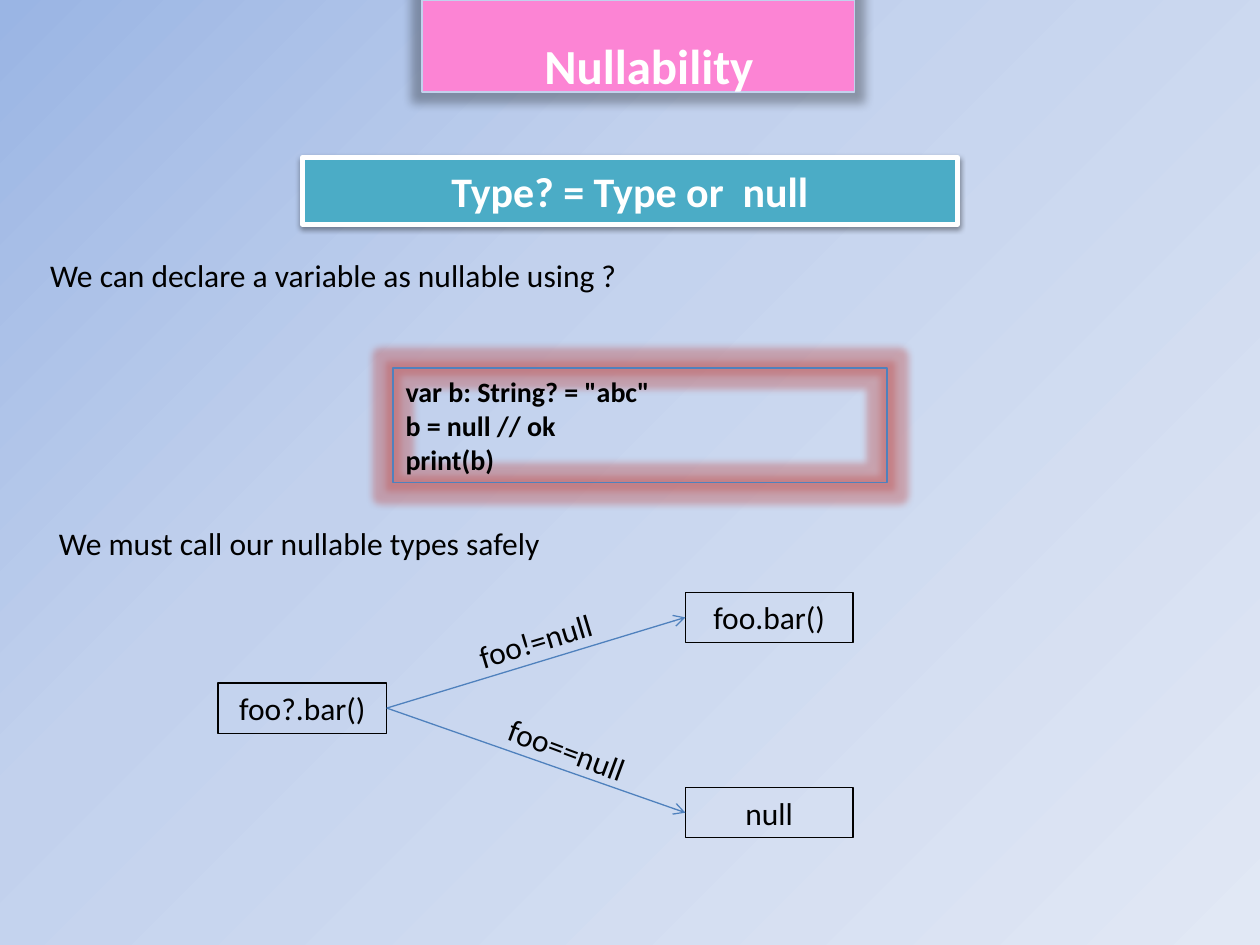
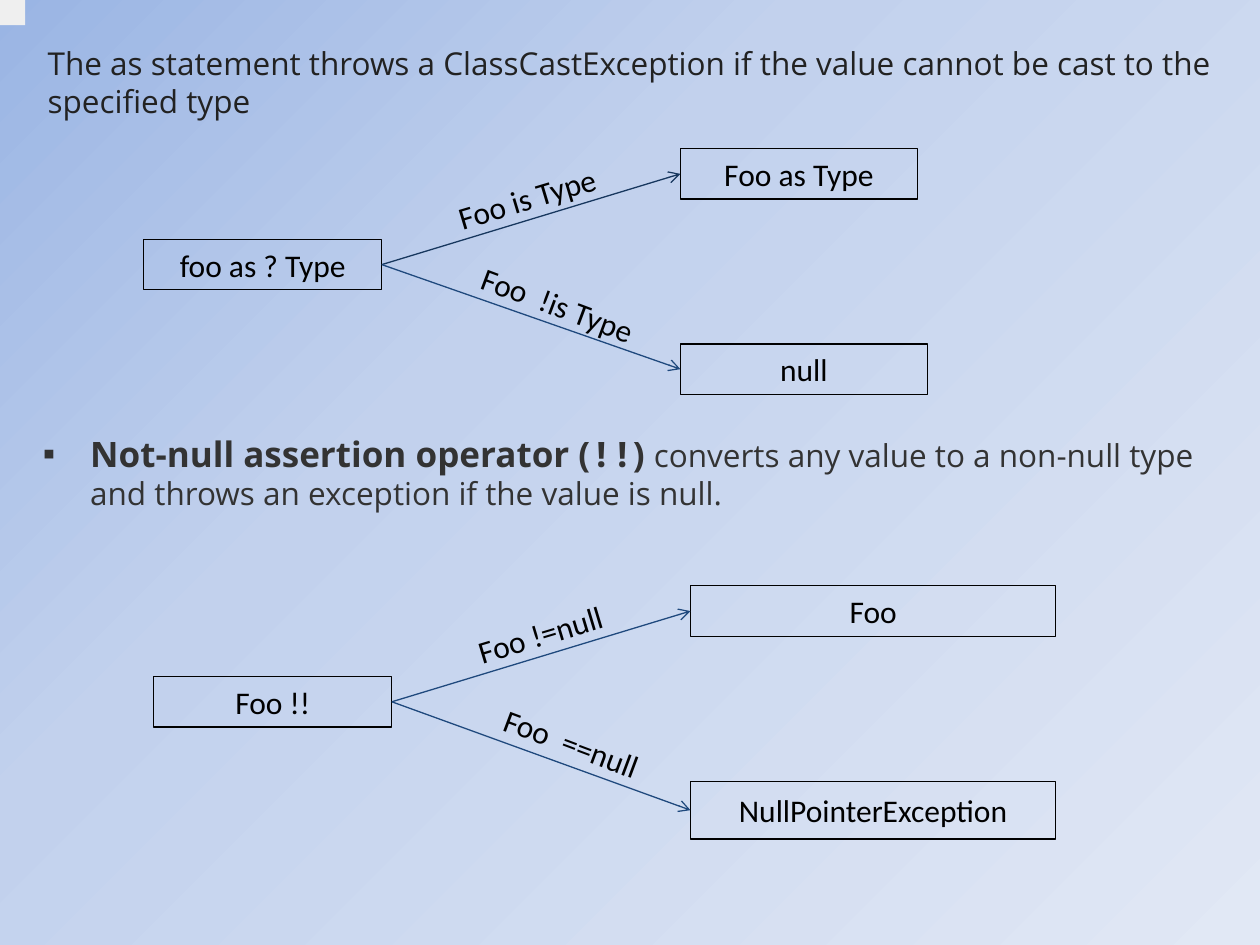
from copy import deepcopy
from dataclasses import dataclass

from lxml.etree import SubElement
from pptx import Presentation
from pptx.dml.color import RGBColor
from pptx.enum.shapes import MSO_CONNECTOR as Connector, MSO_SHAPE as Preset
from pptx.enum.text import MSO_ANCHOR as Anchor, MSO_AUTO_SIZE as AutoSize, PP_ALIGN as Align
from pptx.oxml.ns import qn
from pptx.util import Inches, Pt


@dataclass(frozen=True)
class Theme:
    """Colours, fonts and type sizes of the deck."""
    gradient: tuple = ((0, "9AB5E4"), (0.37, "C2D1ED"), (1, "E1E8F5"))
    pink: str = "FC84D4"
    pale_blue: str = "C2D1ED"
    teal: str = "4BACC6"
    blue: str = "4F81BD"
    navy: str = "1F497D"
    dark_navy: str = "17375E"
    red: str = "C0504D"
    grey: str = "EFEFEF"
    charcoal: str = "333333"
    ink: str = "222222"
    black: str = "000000"
    white: str = "FFFFFF"
    sans: str = "Calibri"
    prose: str = "Open Sans"
    mono: str = "Noto Sans Mono"
    title: int = 28
    banner: int = 24
    lead: int = 20
    text: int = 18
    code: int = 16
    thin: float = 0.75
    thick: float = 3


@dataclass(frozen=True)
class Branch:
    """One outcome of a decision with its condition."""
    condition: str
    condition_width: float
    outcome: str
    width: float
    arrow: str
    height: float = 0.4


THEME = Theme()
ROW = 0.4
ARROW_SPAN = 2.37
BRANCH_RULES = ((-0.72, 1.185, -0.54, 343.2), (0.83, 1.435, 0.33, 20.5))


def set_font(font, size, color=THEME.black, name=THEME.sans, bold=False):
    """Format a paragraph or run font."""
    font.size, font.name, font.bold = Pt(size), name, bold
    font.color.rgb = RGBColor.from_string(color)


def paint(shape, fill=None, line=None, width=THEME.thin):
    """Set fill and outline and drop the inherited shadow."""
    if fill:
        shape.fill.solid()
        shape.fill.fore_color.rgb = RGBColor.from_string(fill)
    else:
        shape.fill.background()
    if line:
        shape.line.color.rgb = RGBColor.from_string(line)
        shape.line.width = Pt(width)
    else:
        shape.line.fill.background()
    shape.shadow.inherit = False


def add_effect(shape, kind, color, opacity, **measures):
    """Add a glow or shadow to a painted shape."""
    effects = shape.element.spPr.find(qn("a:effectLst"))
    effect = SubElement(effects, qn(f"a:{kind}"), {key: str(value) for key, value in measures.items()})
    tint = SubElement(effect, qn("a:srgbClr"), val=color)
    SubElement(tint, qn("a:alpha"), val=str(opacity * 1000))


def place(shape, box):
    """Move a shape to a box given in inches."""
    shape.left, shape.top, shape.width, shape.height = map(Inches, box)


def add_box(slide, box, text="", size=THEME.text, color=THEME.black, bold=False,
            align=Align.CENTER, fill=None, line=THEME.black, width=THEME.thin):
    """Add a rectangle with middle-anchored text."""
    rectangle = slide.shapes.add_shape(Preset.RECTANGLE, *map(Inches, box))
    paint(rectangle, fill, line, width)
    frame = rectangle.text_frame
    frame.word_wrap, frame.vertical_anchor = True, Anchor.MIDDLE
    frame.text = text
    for paragraph in frame.paragraphs:
        paragraph.alignment = align
        set_font(paragraph.font, size, color, bold=bold)
    return rectangle


def add_text(slide, box, text, color=THEME.black, name=THEME.sans, wrap=True):
    """Add a plain line of running text."""
    sentence = slide.shapes.add_textbox(*map(Inches, box))
    frame = sentence.text_frame
    frame.word_wrap, frame.auto_size = wrap, AutoSize.SHAPE_TO_FIT_TEXT
    frame.text = text
    set_font(frame.paragraphs[0].font, THEME.text, color, name)
    return sentence


def add_arrow(slide, source, target, color):
    """Connect two boxes from right side to left side with an arrow."""
    arrow = slide.shapes.add_connector(Connector.STRAIGHT, 0, 0, 0, 0)
    arrow.begin_connect(source, 3)
    arrow.end_connect(target, 1)
    arrow.line.color.rgb = RGBColor.from_string(color)
    arrow.line.width = Pt(THEME.thin)
    SubElement(arrow.line._get_or_add_ln(), qn("a:tailEnd"), type="arrow")
    SubElement(arrow.element.spPr, qn("a:effectLst"))


def add_decision(slide, box, question, branches):
    """Draw a question box that forks into an upper and a lower outcome."""
    left, top, width, height = box
    fork_x, fork_y = left + width, top + height / 2
    source = add_box(slide, box, question)
    for branch, (drop, across, down, angle) in zip(branches, BRANCH_RULES):
        outcome = add_box(slide, (fork_x + ARROW_SPAN, top + drop, branch.width, branch.height),
                          branch.outcome)
        add_arrow(slide, source, outcome, branch.arrow)
        condition_box = (fork_x + across - branch.condition_width / 2,
                         fork_y + down - ROW / 2, branch.condition_width, ROW)
        condition = add_text(slide, condition_box, branch.condition, wrap=False)
        condition.rotation = angle


def set_background(master):
    """Give every slide the diagonal gradient."""
    fill = master.background.fill
    fill.gradient()
    fill.gradient_angle = 315
    stops = master.element.find(".//" + qn("a:gsLst"))
    stops.insert(1, deepcopy(stops[0]))
    for stop, (position, color) in zip(fill.gradient_stops, THEME.gradient):
        stop.position = position
        stop.color.rgb = RGBColor.from_string(color)


def format_title_tab(title, box):
    """Turn the title placeholder into the pink tab at the top edge."""
    place(title, box)
    paint(title, THEME.pink, THEME.pale_blue)
    add_effect(title, "glow", THEME.black, 30, rad=Pt(12))
    frame = title.text_frame
    frame.text = "Nullability"
    frame.auto_size, frame.vertical_anchor = AutoSize.NONE, Anchor.TOP
    frame.margin_left = Inches(0.97)
    paragraph = frame.paragraphs[0]
    paragraph.alignment, paragraph.line_spacing = Align.LEFT, 1.5
    set_font(paragraph.font, THEME.title, THEME.white, bold=True)


def format_assertion(body, box):
    """Fill the body placeholder with the bulleted assertion rule."""
    place(body, box)
    frame = body.text_frame
    frame.auto_size = AutoSize.NONE
    paragraph = frame.paragraphs[0]
    SubElement(paragraph._p.get_or_add_pPr(), qn("a:buChar"), char="▪")
    pieces = (
        ("Not-null assertion operator (", THEME.lead, THEME.prose, True),
        ("!!", THEME.lead, THEME.mono, True),
        (") ", THEME.lead, THEME.prose, True),
        ("converts any value to a non-null type and throws an exception if the value is null.",
         THEME.text, THEME.prose, False),
    )
    for text, size, name, bold in pieces:
        run = paragraph.add_run()
        run.text = text
        set_font(run.font, size, THEME.charcoal, name, bold)


def build_nullability(deck):
    """Build the slide on nullable types."""
    slide = deck.slides.add_slide(deck.slide_layouts[5])
    format_title_tab(slide.shapes.title, (3.35, 0, 3.43, 0.73))
    add_text(slide, (0.3, 1.98, 9.53, ROW), "We can declare a variable as nullable using ?")
    code = add_box(slide, (3.12, 2.92, 3.92, 0.91),
                   'var b: String? = "abc"\nb = null // ok\nprint(b)',
                   THEME.code, bold=True, align=Align.LEFT, line=THEME.blue)
    add_effect(code, "glow", THEME.red, 40, rad=Pt(8))
    banner = add_box(slide, (2.4, 1.25, 5.2, 0.53), "Type? = Type or  null", THEME.banner,
                     THEME.white, True, fill=THEME.teal, line=THEME.white, width=THEME.thick)
    add_effect(banner, "outerShdw", THEME.black, 38, blurRad=Pt(3.1), dist=Pt(1.6),
               dir=90 * 60000, rotWithShape=0)
    add_text(slide, (0.37, 4.11, 4.06, ROW), "We must call our nullable types safely", wrap=False)
    add_decision(slide, (1.73, 5.42, 1.34, ROW), "foo?.bar()", (
        Branch("foo!=null", 1.13, "foo.bar()", 1.33, THEME.blue),
        Branch("foo==null", 1.17, "null", 1.33, THEME.blue),
    ))


def build_casts(deck):
    """Build the slide on safe casts and not-null assertions."""
    slide = deck.slides.add_slide(deck.slide_layouts[1])
    title = slide.shapes.title.element
    title.getparent().remove(title)
    format_assertion(slide.placeholders[1], (0.24, 3.38, 9.56, 0.91))
    add_text(slide, (0.28, 0.3, 9.45, 0.71),
             "The as statement throws a ClassCastException if the value cannot be cast to the "
             "specified type", THEME.ink, THEME.prose)
    add_box(slide, (0, 0, 0.2, 0.2), fill=THEME.grey, line=None)
    add_decision(slide, (1.14, 1.9, 1.89, ROW), "foo as ? Type", (
        Branch("Foo is Type", 1.39, "Foo as Type", 1.88, THEME.dark_navy),
        Branch("Foo  !is Type", 1.54, "null", 1.96, THEME.navy),
    ))
    add_decision(slide, (1.22, 5.37, 1.89, ROW), "Foo !!", (
        Branch("Foo !=null", 1.23, "Foo", 2.9, THEME.navy),
        Branch("Foo  ==null", 1.33, "NullPointerException", 2.9, THEME.navy, 0.46),
    ))


def main():
    """Build and save the deck."""
    deck = Presentation()
    deck.slide_width, deck.slide_height = Inches(10), Inches(7.5)
    set_background(deck.slide_master)
    build_nullability(deck)
    build_casts(deck)
    deck.save("out.pptx")


main()
